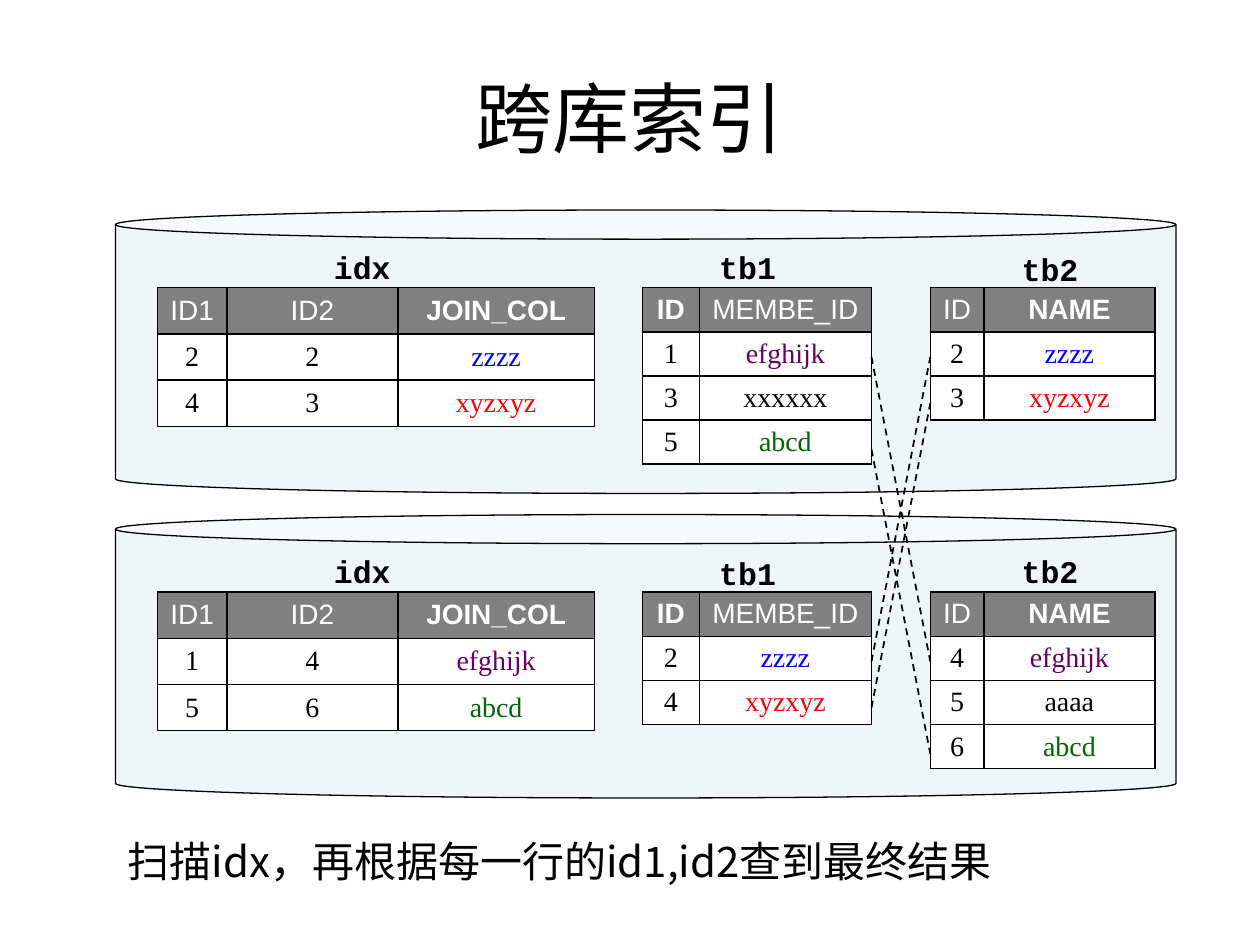
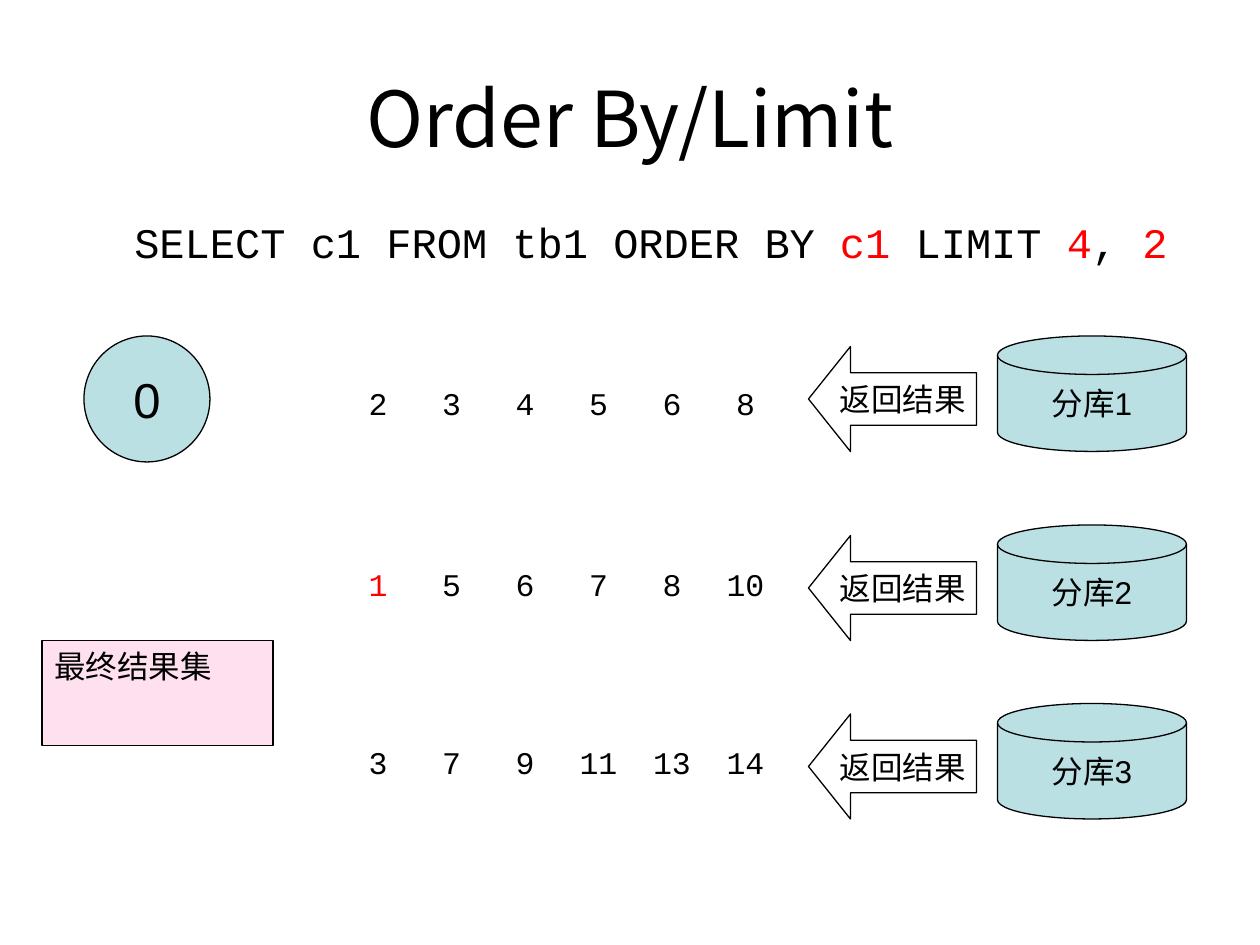
from lxml import etree
from pptx import Presentation
from pptx.dml.color import RGBColor
from pptx.enum.dml import MSO_LINE
from pptx.enum.shapes import MSO_CONNECTOR, MSO_SHAPE
from pptx.enum.text import MSO_ANCHOR, PP_ALIGN
from pptx.oxml.ns import qn
from pptx.util import Pt

PX = 7620
CENTER, LEFT = PP_ALIGN.CENTER, PP_ALIGN.LEFT
MIDDLE, TOP = MSO_ANCHOR.MIDDLE, MSO_ANCHOR.TOP
CAN, DISK = MSO_SHAPE.CAN, MSO_SHAPE.FLOWCHART_MAGNETIC_DISK
ARROW, OVAL, RECT = MSO_SHAPE.LEFT_ARROW, MSO_SHAPE.OVAL, MSO_SHAPE.RECTANGLE
STRAIGHT, DASH = MSO_CONNECTOR.STRAIGHT, MSO_LINE.DASH

COLORS = {"black": "000000", "white": "FFFFFF", "gray": "808080", "teal": "BBE0E3",
          "pink": "FF99CC", "red": "FF0000", "blue": "0000FF", "purple": "660066",
          "green": "006600"}
CJK, SANS, SERIF, MONO = "Noto Sans CJK SC", "Arial", "Times New Roman", "Courier New"

INDEX_TITLE = "跨库索引"
INDEX_CAPTION = "扫描idx，再根据每一行的id1,id2查到最终结果"
VALUE_COLORS = {"zzzz": "blue", "xyzxyz": "red", "efghijk": "purple", "abcd": "green"}
BOLD_HEADS = {("tb1", "ID"), ("tb2", "NAME"), ("idx", "JOIN_COL")}
TABLES = {
    "idx": {"x": 150, "cols": [66, 163, 187], "row": 44, "label": (250, 190),
            "head": ["ID1", "ID2", "JOIN_COL"]},
    "tb1": {"x": 612, "cols": [54, 164], "row": 42, "label": (662, 100),
            "head": ["ID", "MEMBE_ID"]},
    "tb2": {"x": 886, "cols": [51, 163], "row": 42, "label": (950, 100),
            "head": ["ID", "NAME"]},
}
DATABASES = [
    {"y": 200, "label_y": {"idx": 230, "tb1": 230, "tb2": 232},
     "idx": [["2", "2", "zzzz"], ["4", "3", "xyzxyz"]],
     "tb1": [["1", "efghijk"], ["3", "xxxxxx"], ["5", "abcd"]],
     "tb2": [["2", "zzzz"], ["3", "xyzxyz"]]},
    {"y": 490, "label_y": {"idx": 520, "tb1": 522, "tb2": 520},
     "idx": [["1", "4", "efghijk"], ["5", "6", "abcd"]],
     "tb1": [["2", "zzzz"], ["4", "xyzxyz"]],
     "tb2": [["4", "efghijk"], ["5", "aaaa"], ["6", "abcd"]]},
]
TABLE_DROP, LINK_PITCH = 74, 44

LIMIT_TITLE = "Order By/Limit"
QUERY = [("SELECT c1 FROM tb1 ORDER BY ", "black"), ("c1", "red"), (" LIMIT ", "black"),
         ("4", "red"), (", ", "black"), ("2", "red")]
SHARDS = [
    {"name": "分库1", "y": 320, "num_y": 360, "nums": [2, 3, 4, 5, 6, 8]},
    {"name": "分库2", "y": 500, "num_y": 532, "nums": [1, 5, 6, 7, 8, 10]},
    {"name": "分库3", "y": 670, "num_y": 702, "nums": [3, 7, 9, 11, 13, 14]},
]
MARKED_NUM = 1
RETURN_TEXT = "返回结果"
RESULT_TEXT = "最终结果集"
COUNTER = "0"


def rgb(name):
    return RGBColor.from_string(COLORS[name])


def emu(*lengths):
    return [v * PX for v in lengths]


def write(tf, runs, font, size, color="black", bold=False, align=CENTER):
    p = tf.paragraphs[0]
    p.alignment = align
    f = p.font
    f.name, f.size, f.bold = font, Pt(size), bold
    f.color.rgb = rgb(color)
    props = p._p.find(".//" + qn("a:defRPr"))
    etree.SubElement(props, qn("a:ea"), typeface=CJK)
    if isinstance(runs, str):
        p.add_run().text = runs
        return
    for text, run_color in runs:
        r = p.add_run()
        r.text = text
        r.font.color.rgb = rgb(run_color)


def add_slide(prs, title):
    slide = prs.slides.add_slide(prs.slide_layouts[5])
    sp = slide.shapes.title
    sp.left, sp.top, sp.width, sp.height = emu(60, 36, 1080, 150)
    sp.text_frame.vertical_anchor = MIDDLE
    write(sp.text_frame, title, CJK, 44)
    return slide


def add_text(slide, box, runs, font, size, **style):
    tf = slide.shapes.add_textbox(*emu(*box)).text_frame
    tf.word_wrap = True
    write(tf, runs, font, size, **style)


def add_shape(slide, kind, box, fill=None, opacity=None, adjust=()):
    sp = slide.shapes.add_shape(kind, *emu(*box))
    sp.shadow.inherit = False
    for i, value in enumerate(adjust):
        sp.adjustments[i] = value
    if fill:
        sp.fill.solid()
        sp.fill.fore_color.rgb = rgb(fill)
    else:
        sp.fill.background()
    if opacity:
        clr = sp._element.spPr.find(".//" + qn("a:srgbClr"))
        etree.SubElement(clr, qn("a:alpha"), val=str(opacity * 1000))
    sp.line.color.rgb = rgb("black")
    sp.line.width = Pt(0.75)
    return sp


def add_label_shape(slide, kind, box, text, size=18, anchor=MIDDLE, align=CENTER, **look):
    tf = add_shape(slide, kind, box, **look).text_frame
    tf.word_wrap = False
    tf.vertical_anchor = anchor
    write(tf, text, SANS, size, align=align)


def add_borders(cell):
    props = cell._tc.get_or_add_tcPr()
    for i, side in enumerate(("lnL", "lnR", "lnT", "lnB")):
        ln = etree.Element(qn("a:" + side), w=str(Pt(1)))
        fill = etree.SubElement(ln, qn("a:solidFill"))
        etree.SubElement(fill, qn("a:srgbClr"), val=COLORS["black"])
        props.insert(i, ln)


def add_table(slide, name, top, rows):
    spec = TABLES[name]
    cols, row_h = spec["cols"], spec["row"]
    grid = [spec["head"]] + rows
    box = emu(spec["x"], top, sum(cols), row_h * len(grid))
    table = slide.shapes.add_table(len(grid), len(cols), *box).table
    table.first_row = table.horz_banding = False
    for col, width in zip(table.columns, cols):
        col.width = width * PX
    for r, values in enumerate(grid):
        table.rows[r].height = row_h * PX
        for c, value in enumerate(values):
            cell = table.cell(r, c)
            cell.margin_left = cell.margin_right = 5 * PX
            cell.margin_top = cell.margin_bottom = 4 * PX
            cell.vertical_anchor = MIDDLE
            cell.fill.solid()
            cell.fill.fore_color.rgb = rgb("white" if r else "gray")
            add_borders(cell)
            if r:
                write(cell.text_frame, value, SERIF, 16, VALUE_COLORS.get(value, "black"))
            else:
                write(cell.text_frame, value, SANS, 16, "white", (name, value) in BOLD_HEADS)


def add_link(slide, x1, y1, x2, y2):
    line = slide.shapes.add_connector(STRAIGHT, *emu(x1, y1, x2, y2))
    line.line.color.rgb = rgb("black")
    line.line.width = Pt(1)
    line.line.dash_style = DASH
    etree.SubElement(line._element.spPr, qn("a:effectLst"))


def row_middles(db, name):
    first = db["y"] + TABLE_DROP + LINK_PITCH * 3 // 2
    return {row[-1]: first + i * LINK_PITCH for i, row in enumerate(db[name])}


def build_index_slide(prs):
    slide = add_slide(prs, INDEX_TITLE)
    for db in reversed(DATABASES):
        add_shape(slide, CAN, (110, db["y"], 1010, 270), "teal", 24, [0.103])
    for db in DATABASES:
        for name, spec in TABLES.items():
            add_table(slide, name, db["y"] + TABLE_DROP, db[name])
            x, width = spec["label"]
            add_text(slide, (x, db["label_y"][name], width, 48), name, MONO, 18, bold=True)
    right = TABLES["tb1"]["x"] + sum(TABLES["tb1"]["cols"])
    for db, other in zip(DATABASES, reversed(DATABASES)):
        targets = row_middles(other, "tb2")
        for value, y in row_middles(db, "tb1").items():
            if value in targets:
                add_link(slide, right, y, TABLES["tb2"]["x"], targets[value])
    add_text(slide, (110, 790, 920, 60), INDEX_CAPTION, CJK, 24, align=LEFT)


def build_limit_slide(prs):
    slide = add_slide(prs, LIMIT_TITLE)
    add_text(slide, (110, 200, 1020, 60), QUERY, MONO, 24)
    for shard in SHARDS:
        y = shard["y"]
        add_label_shape(slide, DISK, (950, y, 180, 110), shard["name"], fill="teal")
        add_label_shape(slide, ARROW, (770, y + 10, 160, 100), RETURN_TEXT, adjust=[0.5, 0.4])
        for i, num in enumerate(shard["nums"]):
            color = "red" if num == MARKED_NUM else "black"
            add_text(slide, (330 + 70 * i, shard["num_y"], 60, 48), str(num), MONO, 18,
                     color=color)
    add_label_shape(slide, OVAL, (80, 320, 120, 120), COUNTER, size=28, fill="teal")
    add_label_shape(slide, RECT, (40, 610, 220, 100), RESULT_TEXT, anchor=TOP, align=LEFT,
                    fill="pink", opacity=30)


def main():
    prs = Presentation()
    prs.slide_width, prs.slide_height = emu(1200, 900)
    build_index_slide(prs)
    build_limit_slide(prs)
    prs.save("out.pptx")


if __name__ == "__main__":
    main()
